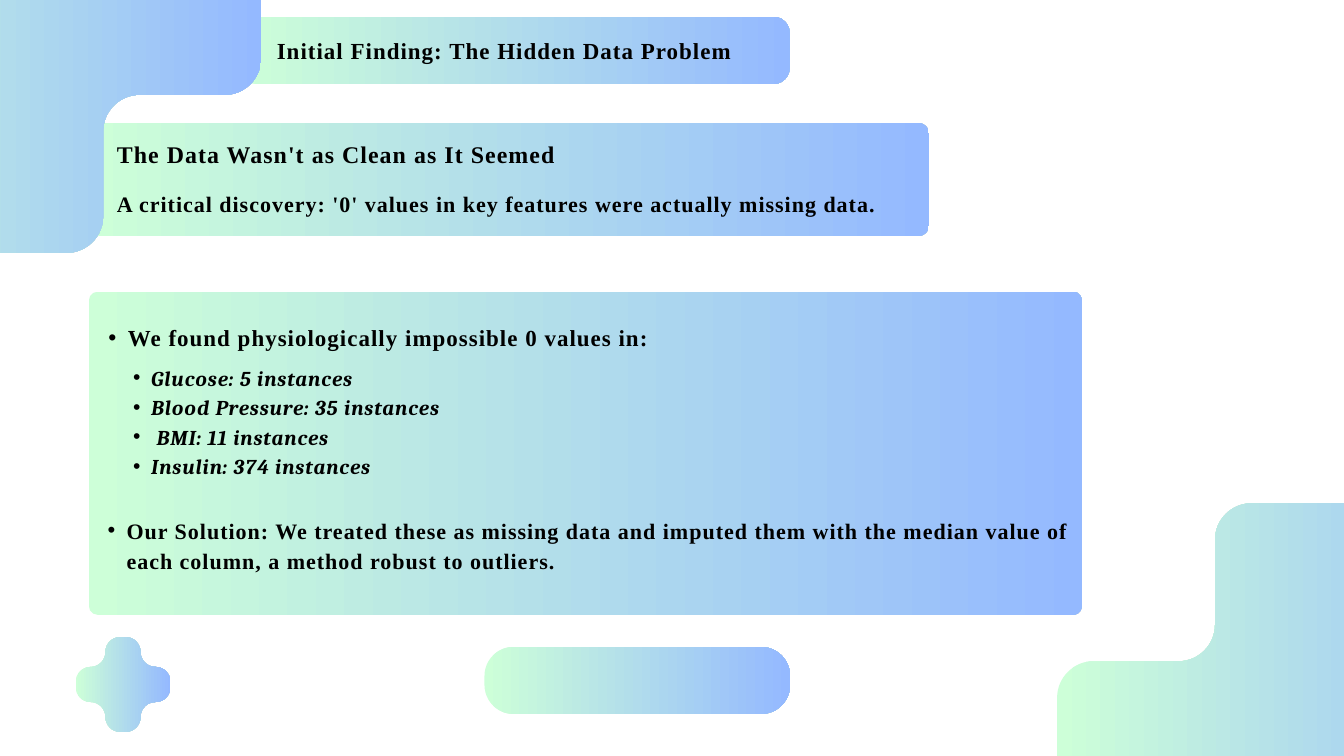
"""Build the slide on the hidden missing-data problem."""
from lxml import etree
from pptx import Presentation
from pptx.dml.color import RGBColor
from pptx.enum.shapes import MSO_SHAPE
from pptx.enum.text import MSO_AUTO_SIZE
from pptx.oxml.ns import qn
from pptx.util import Pt

ROUNDED = MSO_SHAPE.ROUNDED_RECTANGLE
GROW = MSO_AUTO_SIZE.SHAPE_TO_FIT_TEXT
MINT = RGBColor(0xCD, 0xFF, 0xD8)
BLUE = RGBColor(0x94, 0xB9, 0xFF)
BLACK = RGBColor(0, 0, 0)
SERIF, ACCENT = "Times New Roman", "Cambria"
ARC_PULL = 0.55

# Back to front. Cross: left, top, size, arm inset, radius.
# Bar: left, top, width, height, radius.
BACKDROP = [
    ("cross", (1132.6, 539.3, 541.5, 169.2, 39)),
    ("cross", (81, 682.6, 101.5, 32, 15.9)),
    ("bar", (256.3, 18, 589.7, 72, 17.3)),
    ("bar", (95.2, 131.8, 900, 121, 11.5)),
    ("cross", (-261.8, -270.7, 541.5, 169.2, 39)),
    ("bar", (519.1, 693.2, 327.4, 71.7, 31)),
    ("bar", (95.2, 312.5, 1064, 346.3, 9.7)),
]

# Box, lines, font, size, line spacing, letter spacing, bullet indent
TEXTS = [
    ((296.6, 34.6, 589.7, 37.4), ["Initial Finding: The Hidden Data Problem"],
     SERIF, 24.6, 34.4, 1.1, 0),
    ((125.3, 144.7, 679, 37.4), ["The Data Wasn't as Clean as It Seemed"],
     SERIF, 25.6, 35.8, 1.15, 0),
    ((125.3, 199.4, 817.2, 35.3),
     ["A critical discovery: '0' values in key features were actually missing data."],
     SERIF, 23.6, 33, 1.05, 0),
    ((95.2, 342, 936, 37.4), ["We found physiologically impossible 0 values in:"],
     SERIF, 24.6, 34.4, 1.1, 20.9),
    ((123.4, 386.6, 936, 128.2),
     ["Glucose: 5 instances", "Blood Pressure: 35 instances",
      " BMI: 11 instances", "Insulin: 374 instances"],
     ACCENT, 22.6, 31.6, 1, 19.3),
    ((95.2, 549.4, 1064, 67),
     ["Our Solution: We treated these as missing data and imputed them with "
      "the median value of each column, a method robust to outliers."],
     SERIF, 23.6, 33, 1.05, 20.2),
]


def paint(sp):
    sp.shadow.inherit = False
    sp.line.fill.background()
    sp.fill.gradient()
    sp.fill.gradient_angle = 0
    for stop, color, position in zip(sp.fill.gradient_stops, (MINT, BLUE), (0, 1)):
        stop.color.rgb = color
        stop.position = position


def add_bar(shapes, left, top, width, height, radius):
    sp = shapes.add_shape(ROUNDED, Pt(left), Pt(top), Pt(width), Pt(height))
    sp.adjustments[0] = radius / min(width, height)
    paint(sp)


def step_toward(a, b, distance):
    share = distance / (abs(b[0] - a[0]) + abs(b[1] - a[1]))
    return a[0] + share * (b[0] - a[0]), a[1] + share * (b[1] - a[1])


def round_corners(sp):
    nodes = list(sp._element.iter(qn("a:pt")))
    for i in range(0, len(nodes) - 2, 3):
        start, corner, end = [(int(n.get("x")), int(n.get("y"))) for n in nodes[i:i + 3]]
        curve = etree.Element(qn("a:cubicBezTo"))
        for base, pull in ((start, ARC_PULL), (end, ARC_PULL), (end, 0)):
            x, y = [round(b + pull * (c - b)) for b, c in zip(base, corner)]
            etree.SubElement(curve, qn("a:pt"), x=str(x), y=str(y))
        corner_line, end_line = nodes[i + 1].getparent(), nodes[i + 2].getparent()
        outline = corner_line.getparent()
        outline.replace(corner_line, curve)
        outline.remove(end_line)


def add_cross(shapes, left, top, size, inset, radius):
    near, far = inset, size - inset
    corners = [(near, 0), (far, 0), (far, near), (size, near), (size, far), (far, far),
               (far, size), (near, size), (near, far), (0, far), (0, near), (near, near)]
    points = []
    for i, corner in enumerate(corners):
        following = corners[(i + 1) % len(corners)]
        points += [step_toward(corner, corners[i - 1], radius), corner,
                   step_toward(corner, following, radius)]
    points = [(Pt(left + x), Pt(top + y)) for x, y in points]
    builder = shapes.build_freeform(*points[0])
    builder.add_line_segments(points[1:], close=True)
    sp = builder.convert_to_shape()
    round_corners(sp)
    paint(sp)


def add_bullet(p, indent):
    pPr = p._p.get_or_add_pPr()
    pPr.set("marL", str(Pt(2 * indent)))
    pPr.set("indent", str(-Pt(indent)))
    etree.SubElement(pPr, qn("a:buFont")).set("typeface", "Arial")
    etree.SubElement(pPr, qn("a:buChar")).set("char", "•")


def add_text(shapes, box, lines, font, size, leading, tracking, indent):
    tf = shapes.add_textbox(*map(Pt, box)).text_frame
    tf.margin_left = tf.margin_top = tf.margin_right = tf.margin_bottom = 0
    tf.word_wrap = True
    tf.auto_size = GROW
    tf.text = "\n".join(lines)
    for p in tf.paragraphs:
        if indent:
            p.level = 1
            add_bullet(p, indent)
        p.line_spacing = Pt(leading)
        r = p.runs[0]
        r.font.name = font
        r.font.size = Pt(size)
        r.font.bold = True
        r.font.italic = font == ACCENT
        r.font.color.rgb = BLACK
        r._r.get_or_add_rPr().set("spc", str(round(tracking * 100)))


def main():
    prs = Presentation()
    prs.slide_width, prs.slide_height = Pt(1440), Pt(810)
    shapes = prs.slides.add_slide(prs.slide_layouts[6]).shapes
    draw = {"bar": add_bar, "cross": add_cross}
    for kind, place in BACKDROP:
        draw[kind](shapes, *place)
    for text in TEXTS:
        add_text(shapes, *text)
    prs.save("out.pptx")


if __name__ == "__main__":
    main()
